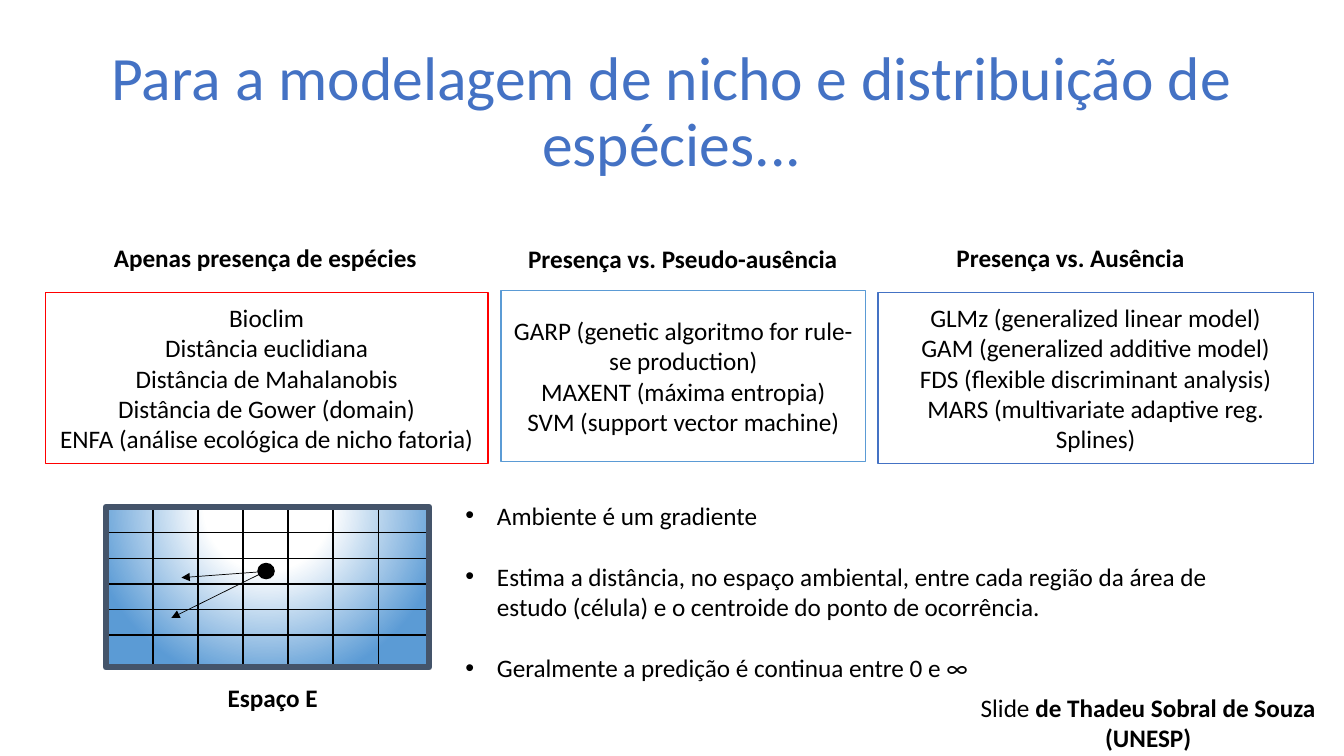
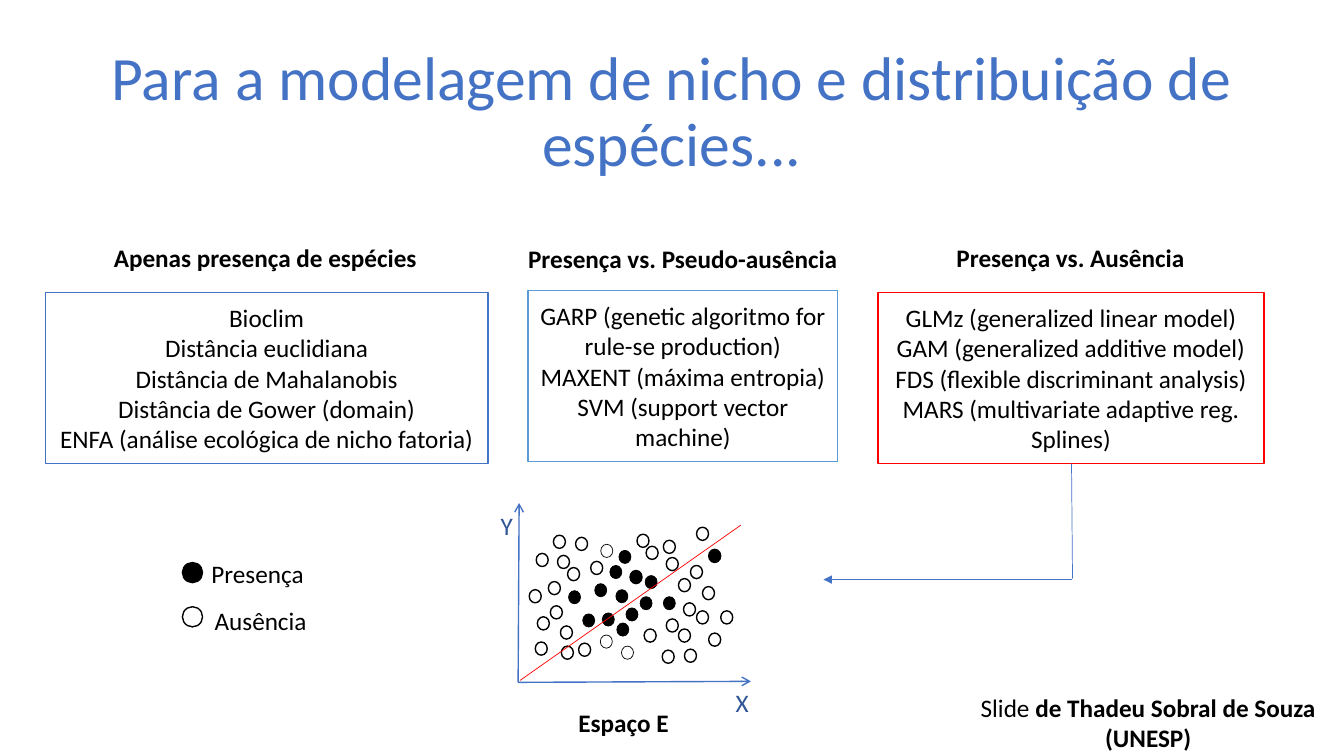
from dataclasses import dataclass
from typing import NamedTuple

from lxml.etree import SubElement
from pptx import Presentation
from pptx.dml.color import RGBColor
from pptx.enum.shapes import MSO_CONNECTOR, MSO_SHAPE
from pptx.enum.text import MSO_ANCHOR, MSO_AUTO_SIZE, PP_ALIGN
from pptx.oxml import parse_xml
from pptx.oxml.ns import nsdecls, qn
from pptx.shapes.autoshape import Shape
from pptx.slide import Slide
from pptx.util import Pt

COLORS = {
    "title": "4472C4",
    "blue": "4472C4",
    "sky": "5B9BD5",
    "red": "FF0000",
    "black": "000000",
    "white": "FFFFFF",
    "frame": "44546A",
    "axis_label": "2F5597",
}
FONT = "Calibri"
TITLE = "Para a modelagem de nicho e distribuição de espécies..."
LABEL_HEIGHT = 28.8
BOX_HEIGHT = 122.4


class Span(NamedTuple):
    text: str
    bold: bool = False


class Area(NamedTuple):
    left: float
    top: float
    width: float
    height: float


class Label(NamedTuple):
    text: str
    left: float
    top: float
    width: float
    bold: bool = False
    color: str = "black"


class Point(NamedTuple):
    x: float
    y: float


@dataclass(frozen=True)
class Method:
    heading: Label
    box_top: float
    models: tuple[str, ...]


@dataclass(frozen=True)
class BoxStyle:
    left: float
    width: float
    line: str


@dataclass(frozen=True)
class DotSet:
    fill: str | None
    line_width: float
    corners: tuple[tuple[float, float], ...]


METHODS = (
    Method(Label("Apenas presença de espécies", 74.2, 169.2, 232.6, bold=True), 208.8,
           ("Bioclim", "Distância euclidiana", "Distância de Mahalanobis",
            "Distância de Gower (domain)", "ENFA (análise ecológica de nicho fatoria)")),
    Method(Label("Presença vs. Pseudo-ausência", 370.1, 170.6, 236.9, bold=True), 207.4,
           ("GARP (genetic algoritmo for rule-se production)", "MAXENT (máxima entropia)",
            "SVM (support vector machine)")),
    Method(Label("Presença vs. Ausência", 676.1, 169.2, 178.6, bold=True), 208.8,
           ("GLMz (generalized linear model)", "GAM (generalized additive model)",
            "FDS (flexible discriminant analysis)",
            "MARS (multivariate adaptive reg. Splines)")),
)
PRESENCE_ONLY_BOXES = (
    BoxStyle(32.4, 316.1, "red"), BoxStyle(357.8, 260.6, "sky"), BoxStyle(627.1, 311, "blue"),
)
PRESENCE_ABSENCE_BOXES = (
    BoxStyle(32.4, 316.1, "blue"), BoxStyle(377.3, 221, "sky"), BoxStyle(627.1, 275.8, "red"),
)
GRADIENT_NOTES = (
    "Ambiente é um gradiente",
    "Estima a distância, no espaço ambiental, entre cada região da área de estudo (célula) "
    "e o centroide do ponto de ocorrência.",
    "Geralmente a predição é continua entre 0 e ∞",
)
SCATTER = (
    DotSet("black", 0.5, (
        (435.6, 403.9), (424.8, 416.9), (473.8, 426.2), (460.8, 411.1), (457.2, 426.2),
        (439.9, 421.2), (447.1, 434.2), (440.6, 445), (430.2, 437.8), (442.1, 393.1),
        (406.1, 421.9), (416.2, 438.5))),
    DotSet("black", 1, ((450, 407.5), (506.2, 392.4))),
    DotSet(None, 0.5, ((429.1, 388.8), (443.9, 461.5), (428.8, 453.6))),
    DotSet(None, 1, (
        (382.3, 458.6), (473.8, 385.9), (475.9, 398.2), (484.6, 413.3), (455, 381.6),
        (493.2, 403.9), (501.8, 419), (497.5, 376.6), (460.1, 449.3), (473, 464.4),
        (488.2, 430.6), (488.9, 463.7), (497.5, 436.3), (506.2, 452.2), (484.6, 449.3),
        (514.8, 436.3), (461.5, 390.2), (475.9, 442.1), (401, 461.5), (400.3, 447.1),
        (393.1, 432.7), (383.8, 440.6), (421.9, 401), (411.1, 383.8), (391.7, 415.4),
        (395.3, 382.3), (398.2, 396.7), (413.3, 459.4), (405.4, 405.4), (383, 395.3),
        (378, 421.2))),
)


def rgb(color: str) -> RGBColor:
    return RGBColor.from_string(COLORS[color])


def write(shape: Shape, paragraphs, *, size: float = 18, color: str = "black",
          bold: bool = False, align=PP_ALIGN.LEFT, anchor=MSO_ANCHOR.TOP, wrap: bool = True,
          bullet: bool = False, gap: float = 0, line_spacing: float | None = None) -> None:
    """Fill a shape with paragraphs, each a string or a tuple of spans."""
    frame = shape.text_frame
    frame.word_wrap = wrap
    frame.auto_size = MSO_AUTO_SIZE.NONE if wrap else MSO_AUTO_SIZE.SHAPE_TO_FIT_TEXT
    frame.vertical_anchor = anchor
    for index, content in enumerate(paragraphs):
        paragraph = frame.add_paragraph() if index else frame.paragraphs[0]
        if bullet:
            properties = paragraph._p.get_or_add_pPr()
            properties.set("marL", str(Pt(22.5)))
            properties.set("indent", str(Pt(-22.5)))
            SubElement(properties, qn("a:buFont")).set("typeface", "Arial")
            SubElement(properties, qn("a:buChar")).set("char", "•")
        paragraph.alignment = align
        if index and gap:
            paragraph.space_before = Pt(gap)
        if line_spacing:
            paragraph.line_spacing = line_spacing
        spans = (Span(content, bold),) if isinstance(content, str) else content
        for span in spans:
            run = paragraph.add_run()
            run.text = span.text
            run.font.name = FONT
            run.font.size = Pt(size)
            run.font.bold = span.bold
            run.font.color.rgb = rgb(color)


def add_text(slide: Slide, area: Area, paragraphs, **text_format) -> Shape:
    box = slide.shapes.add_textbox(*map(Pt, area))
    write(box, paragraphs, **text_format)
    return box


def add_label(slide: Slide, label: Label) -> None:
    add_text(slide, Area(label.left, label.top, label.width, LABEL_HEIGHT), [label.text],
             bold=label.bold, color=label.color, wrap=False)


def add_outline(slide: Slide, area: Area, *, kind=MSO_SHAPE.RECTANGLE, fill: str | None = None,
                line: str = "black", width: float = 1) -> Shape:
    shape = slide.shapes.add_shape(kind, *map(Pt, area))
    shape.shadow.inherit = False
    if fill:
        shape.fill.solid()
        shape.fill.fore_color.rgb = rgb(fill)
    else:
        shape.fill.background()
    shape.line.color.rgb = rgb(line)
    shape.line.width = Pt(width)
    return shape


def add_line(slide: Slide, start: Point, end: Point, *, color: str = "black",
             width: float = 0.5, head: str | None = None) -> None:
    connector = slide.shapes.add_connector(MSO_CONNECTOR.STRAIGHT, *map(Pt, (*start, *end)))
    connector.line.color.rgb = rgb(color)
    connector.line.width = Pt(width)
    if head:
        SubElement(connector.line._get_or_add_ln(), qn("a:tailEnd")).set("type", head)
    SubElement(connector._element.spPr, qn("a:effectLst"))


def set_top_glow(shape: Shape) -> None:
    """Replace an empty fill by a round gradient centred above the shape."""
    stops = "".join(
        f'<a:gs pos="{position}"><a:srgbClr val="{COLORS[color]}"/></a:gs>'
        for position, color in ((0, "white"), (35000, "white"), (100000, "sky")))
    gradient = parse_xml(
        f'<a:gradFill {nsdecls("a")} rotWithShape="1"><a:gsLst>{stops}</a:gsLst>'
        '<a:path path="circle"><a:fillToRect l="50000" t="-80000" r="50000" b="180000"/>'
        '</a:path></a:gradFill>')
    properties = shape._element.spPr
    properties.replace(properties.find(qn("a:noFill")), gradient)


def start_slide(deck, boxes: tuple[BoxStyle, ...]) -> Slide:
    """Add a slide with the title, the three methods and the credit."""
    slide = deck.slides.add_slide(deck.slide_layouts[5])
    title = slide.shapes.title
    title.left, title.top, title.width, title.height = map(Pt, (66, 28.8, 828, 104.4))
    write(title, [TITLE], size=44, color="title", align=PP_ALIGN.CENTER,
          anchor=MSO_ANCHOR.MIDDLE, line_spacing=0.9)
    for method, style in zip(METHODS, boxes):
        area = Area(style.left, method.box_top, style.width, BOX_HEIGHT)
        box = add_outline(slide, area, fill="white", line=style.line)
        write(box, method.models, align=PP_ALIGN.CENTER, anchor=MSO_ANCHOR.MIDDLE)
        add_label(slide, method.heading)
    credit = add_text(slide, Area(693.4, 491, 255.6, 51.1),
                      [(Span("Slide "), Span("de Thadeu Sobral de Souza", True)),
                       (Span("(UNESP)", True),)], wrap=False)
    credit.text_frame.paragraphs[1].alignment = PP_ALIGN.CENTER
    return slide


def draw_environment_grid(slide: Slide) -> None:
    frame = Area(75.6, 362.2, 231, 114.5)
    set_top_glow(add_outline(slide, frame, line="white"))
    first_column, column_width, row_height = 77, 32.2, 18.3
    for column in range(6):
        add_outline(slide, Area(first_column + column * column_width, frame.top,
                                column_width, frame.height))
    for row in range(5):
        add_outline(slide, Area(frame.left, frame.top + row * row_height,
                                frame.width, row_height))
    add_outline(slide, Area(184.3, 402.5, 11.5, 10.8), kind=MSO_SHAPE.OVAL, fill="black")
    centroid = Point(189.4, 408.2)
    for cell in (Point(122.4, 441.4), Point(129.6, 412.6)):
        add_line(slide, centroid, cell, head="triangle")
    add_outline(slide, frame, line="frame", width=4.5)


def draw_scatter(slide: Slide) -> None:
    origin = Point(370.1, 487.4)
    for axis_end in (Point(370.8, 359.3), Point(536.4, 486.7)):
        add_line(slide, origin, axis_end, color="blue", width=1, head="arrow")
    for dots in SCATTER:
        for left, top in dots.corners:
            add_outline(slide, Area(left, top, 8.6, 9.4), kind=MSO_SHAPE.OVAL,
                        fill=dots.fill, width=dots.line_width)
    add_line(slide, Point(371.5, 486), Point(529.2, 375.1), color="red")


def build_presence_only(deck) -> None:
    slide = start_slide(deck, PRESENCE_ONLY_BOXES)
    draw_environment_grid(slide)
    add_label(slide, Label("Espaço E", 155.5, 483.8, 79.2, bold=True))
    add_text(slide, Area(325.4, 353.5, 586.8, 138.2), GRADIENT_NOTES, bullet=True, gap=22)


def build_presence_absence(deck) -> None:
    slide = start_slide(deck, PRESENCE_ABSENCE_BOXES)
    draw_scatter(slide)
    for top, fill in ((401.8, "black"), (433.4, "white")):
        add_outline(slide, Area(130.3, top, 14.4, 14.4), kind=MSO_SHAPE.OVAL, fill=fill)
    for label in (
        Label("Presença", 144, 395.3, 81.4),
        Label("Ausência", 146.2, 429.1, 80.6),
        Label("X", 518.4, 487.4, 23, color="axis_label"),
        Label("Y", 350.6, 360.7, 22.5, color="axis_label"),
        Label("Espaço E", 406.1, 501.8, 79.2, bold=True),
    ):
        add_label(slide, label)
    add_line(slide, Point(765.4, 331.2), Point(766.1, 413.3), color="blue")
    add_line(slide, Point(765.4, 414), Point(588.2, 414), color="blue", head="triangle")


def main() -> None:
    deck = Presentation()
    deck.slide_width, deck.slide_height = Pt(960), Pt(540)
    build_presence_only(deck)
    build_presence_absence(deck)
    deck.save("out.pptx")


if __name__ == "__main__":
    main()
